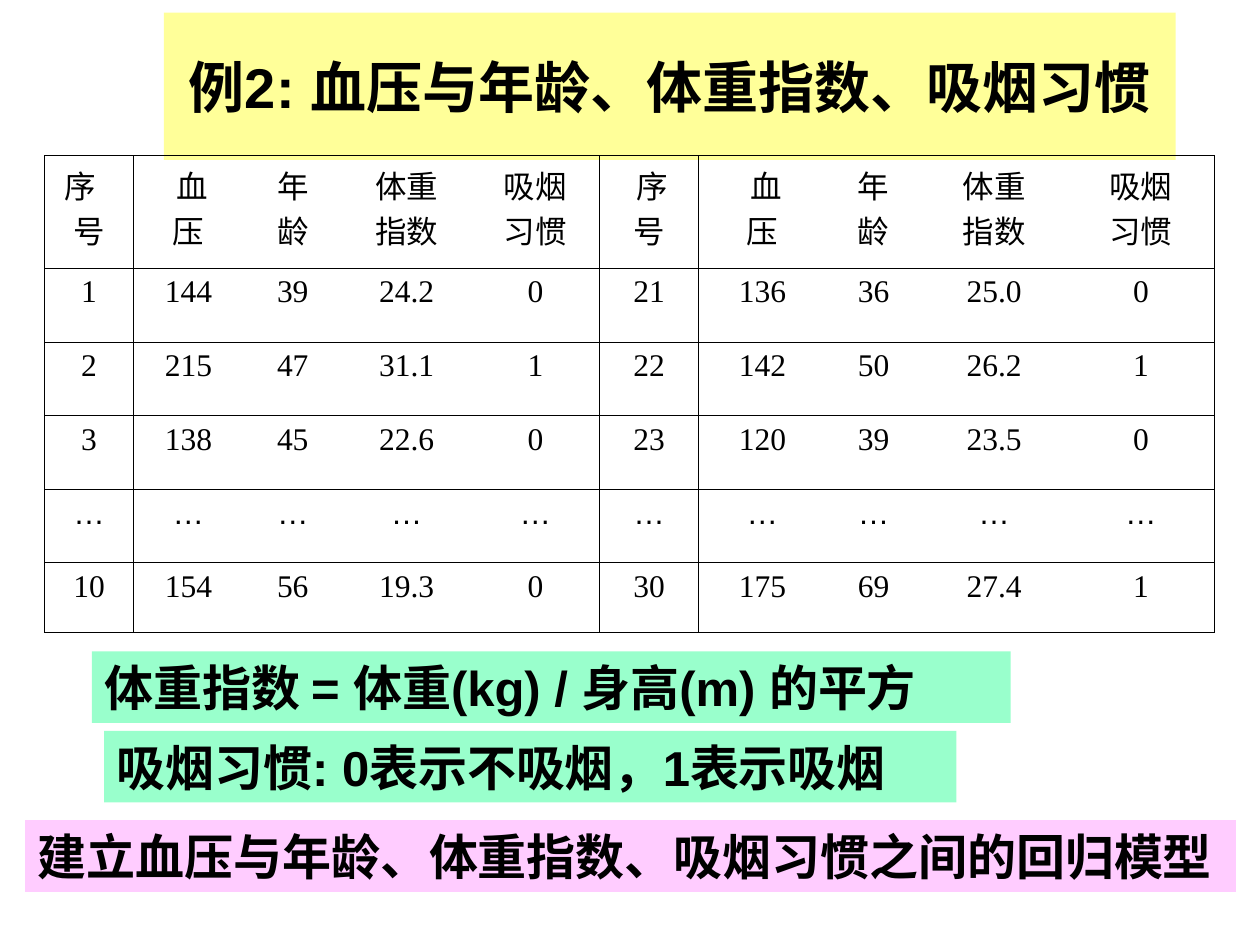
from dataclasses import dataclass
from lxml.etree import SubElement
from pptx import Presentation
from pptx.dml.color import RGBColor as Rgb
from pptx.enum.lang import MSO_LANGUAGE_ID as Lang
from pptx.enum.shapes import MSO_SHAPE as Shape
from pptx.enum.text import MSO_ANCHOR as Anchor, MSO_AUTO_SIZE as AutoSize, PP_ALIGN as Align
from pptx.oxml.ns import qn
from pptx.util import Pt


@dataclass(frozen=True)
class Theme:
    ink: str = "000000"
    yellow: str = "FFFF99"
    mint: str = "99FFCC"
    pink: str = "FFCCFF"
    sans: str = "Arial"
    serif: str = "Times New Roman"
    title: int = 32
    note: int = 28
    cell: int = 18
    rule: float = 0.45


THEME = Theme()

BANNERS = [
    (" 例2: 血压与年龄、体重指数、吸烟习惯", (93.6, 7.2, 578.2, 84.2), THEME.yellow, THEME.title),
    ("体重指数 = 体重(kg) / 身高(m) 的平方", (52.5, 372.2, 525, 41), THEME.mint, THEME.note),
    ("吸烟习惯: 0表示不吸烟，1表示吸烟", (59.5, 417.6, 487, 41), THEME.mint, THEME.note),
    ("建立血压与年龄、体重指数、吸烟习惯之间的回归模型", (14.4, 468.7, 691.9, 41), THEME.pink, THEME.note),
]

HEADINGS = [" 序\n号", " 血\n压", "年\n龄", "体重\n指数", "吸烟\n习惯"]
RECORDS = [
    ["1", "144", "39", "24.2", "0", "21", "136", "36", "25.0", "0"],
    ["2", "215", "47", "31.1", "1", "22", "142", "50", "26.2", "1"],
    ["3", "138", "45", "22.6", "0", "23", "120", "39", "23.5", "0"],
    ["…"] * 10,
    ["10", "154", "56", "19.3", "0", "30", "175", "69", "27.4", "1"],
]
TABLE_LEFT, TABLE_TOP = 25.4, 88.8
COLUMN_WIDTHS = [51, 62.6, 56.6, 73.7, 73.4, 56.6, 73, 54, 83.8, 84]
ROW_HEIGHTS = [64.6, 42.2, 42, 42, 42, 40]


def add_span(para, text, font, size, bold=False):
    span = para.add_run()
    span.text = text
    span.font.name = font
    span.font.size = Pt(size)
    span.font.bold = bold
    span.font.color.rgb = Rgb.from_string(THEME.ink)
    span.font.language_id = Lang.SIMPLIFIED_CHINESE


def add_banner(page, text, frame, fill, size):
    box = page.shapes.add_shape(Shape.RECTANGLE, *map(Pt, frame))
    box.shadow.inherit = False
    box.fill.solid()
    box.fill.fore_color.rgb = Rgb.from_string(fill)
    box.line.fill.background()
    body = box.text_frame
    body.word_wrap = True
    body.auto_size = AutoSize.SHAPE_TO_FIT_TEXT
    body.vertical_anchor = Anchor.MIDDLE
    para = body.paragraphs[0]
    para.alignment = Align.LEFT
    add_span(para, text, THEME.sans, size, True)


def set_borders(cell, ruled_sides):
    properties = cell._tc.get_or_add_tcPr()
    for index, side in enumerate("LRTB"):
        line = SubElement(properties, qn(f"a:ln{side}"), w=str(Pt(THEME.rule)))
        if side in ruled_sides:
            fill = SubElement(line, qn("a:solidFill"))
            SubElement(fill, qn("a:srgbClr"), val=THEME.ink)
        else:
            SubElement(line, qn("a:noFill"))
        properties.insert(index, line)


def fill_cell(cell, text, column, is_first):
    cell.fill.background()
    group_column = column % len(HEADINGS)
    left = "L" if group_column < 2 else ""
    right = "R" if group_column in (0, len(HEADINGS) - 1) else ""
    set_borders(cell, left + right + "TB")
    font = THEME.sans if text == "…" else THEME.serif
    for number, words in enumerate(text.split("\n")):
        para = cell.text_frame.add_paragraph() if number else cell.text_frame.paragraphs[0]
        para.alignment = Align.LEFT if is_first and number == 0 else Align.CENTER
        add_span(para, words, font, THEME.cell)


def add_data_table(page):
    rows = [HEADINGS * 2] + RECORDS
    frame = (TABLE_LEFT, TABLE_TOP, sum(COLUMN_WIDTHS), sum(ROW_HEIGHTS))
    table = page.shapes.add_table(len(rows), len(COLUMN_WIDTHS), *map(Pt, frame)).table
    table.first_row = table.horz_banding = False
    for column, width in zip(table.columns, COLUMN_WIDTHS):
        column.width = Pt(width)
    for row, height in zip(table.rows, ROW_HEIGHTS):
        row.height = Pt(height)
    for r, values in enumerate(rows):
        for c, text in enumerate(values):
            fill_cell(table.cell(r, c), text, c, r == c == 0)


def main():
    """Build the blood pressure regression example slide."""
    deck = Presentation()
    deck.slide_width, deck.slide_height = Pt(720), Pt(540)
    page = deck.slides.add_slide(deck.slide_layouts[6])
    title, *notes = BANNERS
    add_banner(page, *title)
    add_data_table(page)
    for note in notes:
        add_banner(page, *note)
    deck.save("out.pptx")


if __name__ == "__main__":
    main()
